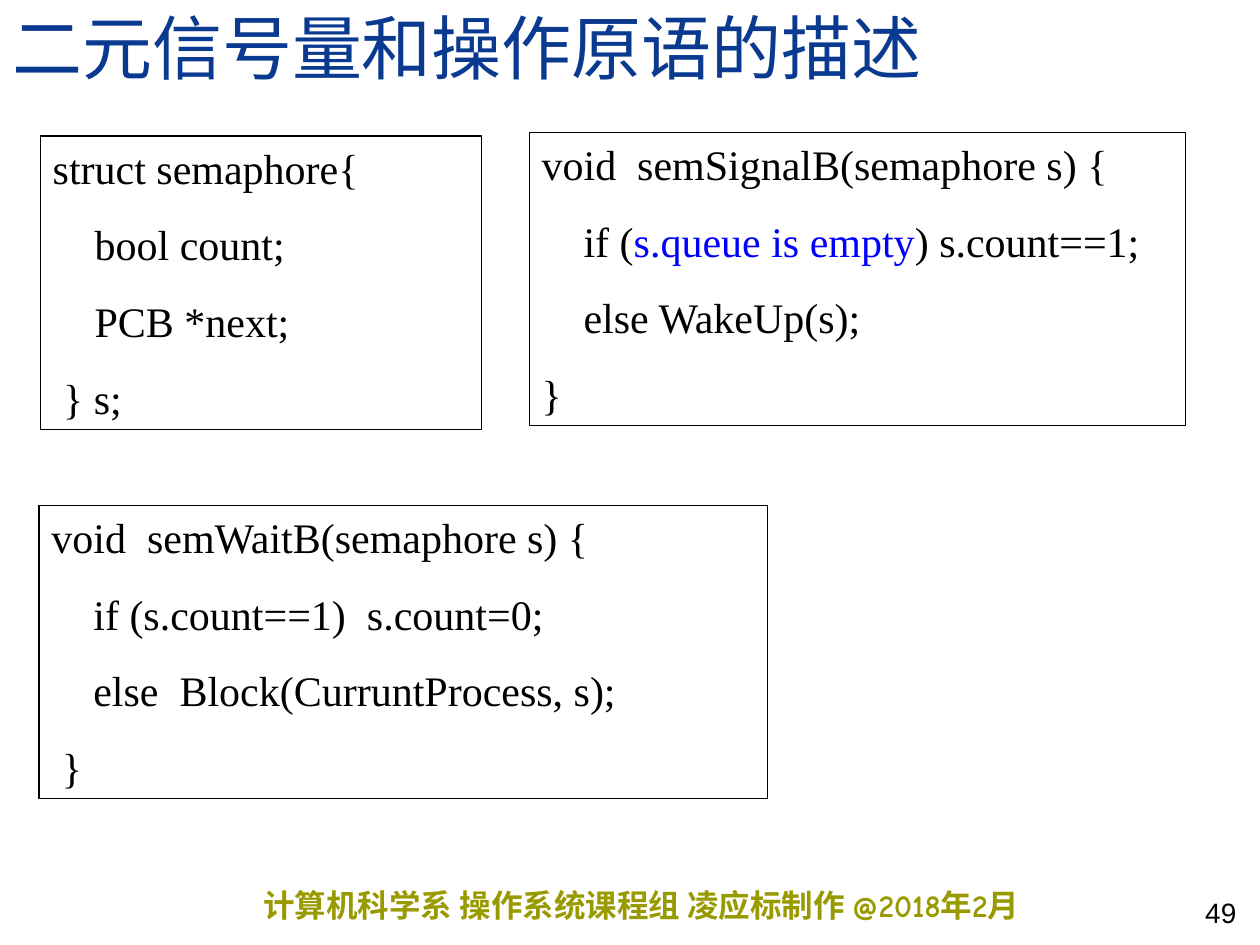
"""Build the slide on binary semaphores and their primitives."""
from dataclasses import dataclass

from pptx import Presentation
from pptx.dml.color import RGBColor
from pptx.enum.shapes import MSO_SHAPE
from pptx.enum.text import MSO_ANCHOR, PP_ALIGN
from pptx.slide import Slide
from pptx.util import Inches, Pt

COLORS = {"title": "0A3A90", "code": "000000", "highlight": "0000FF", "footer": "999900"}


@dataclass(frozen=True)
class Label:
    """A single line of text outside the code boxes."""
    text: str
    left: float
    top: float
    width: float
    height: float
    font: str
    size: int
    color: str
    bold: bool = False
    inset: float = 0.1
    anchor: MSO_ANCHOR = MSO_ANCHOR.BOTTOM
    align: PP_ALIGN = PP_ALIGN.LEFT
    line_spacing: float = 1.0


@dataclass(frozen=True)
class CodeBox:
    """A framed code listing with an optional highlighted phrase."""
    left: float
    top: float
    width: float
    code: str
    highlight: str = ""


LABELS = [
    Label("计算机科学系 操作系统课程组 凌应标制作 @2018年2月", 2.09, 6.98, 7.32, 0.4,
          "Comic Neue", 18, "footer", bold=True, inset=0, anchor=MSO_ANCHOR.TOP),
    Label("49", 8.33, 6.92, 1.58, 0.5, "Arial", 16, "code", align=PP_ALIGN.RIGHT),
    Label("二元信号量和操作原语的描述", 0, 0, 10, 0.75,
          "Times New Roman", 40, "title", line_spacing=0.8),
]

CODE_BOXES = [
    CodeBox(0.32, 1.08, 3.5, """struct semaphore{
    bool count;
    PCB *next;
 } s;"""),
    CodeBox(0.31, 4.01, 5.78, """void  semWaitB(semaphore s) {
    if (s.count==1)  s.count=0;
    else  Block(CurruntProcess, s);
 }"""),
    CodeBox(4.2, 1.05, 5.21, """void  semSignalB(semaphore s) {
    if (s.queue is empty) s.count==1;
    else WakeUp(s);
}""", "s.queue is empty"),
]


def rgb(name: str) -> RGBColor:
    """Return the named colour."""
    return RGBColor.from_string(COLORS[name])


def draw_label(slide: Slide, label: Label) -> None:
    """Draw one label as a text box."""
    shape = slide.shapes.add_textbox(
        Inches(label.left), Inches(label.top), Inches(label.width), Inches(label.height))
    frame = shape.text_frame
    frame.word_wrap = True
    frame.vertical_anchor = label.anchor
    frame.margin_left = frame.margin_right = Inches(label.inset)
    paragraph = frame.paragraphs[0]
    paragraph.text = label.text
    paragraph.alignment = label.align
    paragraph.line_spacing = label.line_spacing
    paragraph.font.name = label.font
    paragraph.font.size = Pt(label.size)
    paragraph.font.bold = label.bold
    paragraph.font.color.rgb = rgb(label.color)


def draw_code_box(slide: Slide, box: CodeBox) -> None:
    """Draw one framed listing, a paragraph for each line of code."""
    shape = slide.shapes.add_shape(
        MSO_SHAPE.RECTANGLE, Inches(box.left), Inches(box.top), Inches(box.width), Inches(2.33))
    shape.shadow.inherit = False
    shape.fill.background()
    shape.line.color.rgb = rgb("code")
    shape.line.width = Pt(0.75)
    frame = shape.text_frame
    frame.word_wrap = True
    frame.vertical_anchor = MSO_ANCHOR.TOP
    for index, line in enumerate(box.code.splitlines()):
        paragraph = frame.add_paragraph() if index else frame.paragraphs[0]
        paragraph.alignment = PP_ALIGN.LEFT
        paragraph.space_before = Pt(15 if index else 0)
        paragraph.font.name = "Times New Roman"
        paragraph.font.size = Pt(24)
        paragraph.font.color.rgb = rgb("code")
        if box.highlight and box.highlight in line:
            before, phrase, after = line.partition(box.highlight)
            paragraph.add_run().text = before
            run = paragraph.add_run()
            run.text = phrase
            run.font.color.rgb = rgb("highlight")
            paragraph.add_run().text = after
        else:
            paragraph.add_run().text = line


def main() -> None:
    """Create and save the presentation."""
    presentation = Presentation()
    presentation.slide_width = Inches(10)
    presentation.slide_height = Inches(7.5)
    slide = presentation.slides.add_slide(presentation.slide_layouts[6])
    for label in LABELS:
        draw_label(slide, label)
    for box in CODE_BOXES:
        draw_code_box(slide, box)
    presentation.save("out.pptx")


if __name__ == "__main__":
    main()
